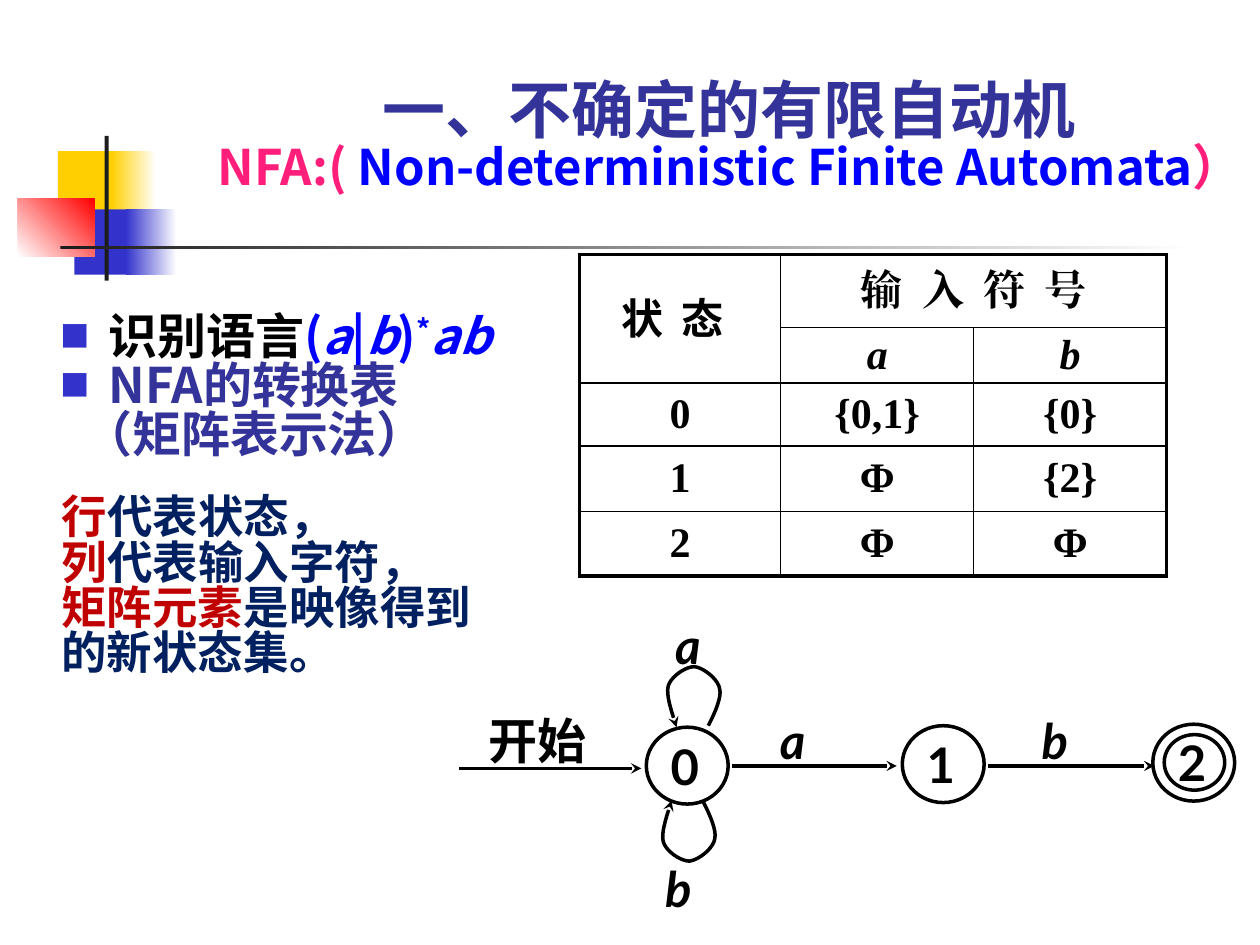
"""Build a slide on nondeterministic finite automata with a transition table and graph."""
import lxml.etree
import pptx
import pptx.dml.color
import pptx.enum.shapes
import pptx.enum.text
import pptx.oxml.ns
import pptx.util

Cm, Pt = pptx.util.Cm, pptx.util.Pt
RGBColor = pptx.dml.color.RGBColor
SHAPE = pptx.enum.shapes.MSO_SHAPE
ALIGN = pptx.enum.text.PP_ALIGN
ANCHOR = pptx.enum.text.MSO_ANCHOR
qn = pptx.oxml.ns.qn

BLACK = RGBColor(0x00, 0x00, 0x00)
WHITE = RGBColor(0xFF, 0xFF, 0xFF)
CHARCOAL = RGBColor(0x1C, 0x1C, 0x1C)
YELLOW = RGBColor(0xFF, 0xCF, 0x01)
BLUE = RGBColor(0x33, 0x33, 0xCC)
RED = RGBColor(0xFF, 0x00, 0x00)
INDIGO = RGBColor(0x33, 0x33, 0x99)
PINK = RGBColor(0xFF, 0x1F, 0x7A)
PURE_BLUE = RGBColor(0x00, 0x00, 0xFF)
DARK_RED = RGBColor(0xC0, 0x00, 0x00)
NAVY = RGBColor(0x00, 0x20, 0x60)

CJK_JP, CJK_SC = "Noto Sans CJK JP", "Noto Sans CJK SC"
LATO, TIMES = "Lato", "Times New Roman"
LINE_SPACING = 0.83
LOOP = [(0.42, -0.8), (0.47, -0.9), (0.7, -1.33), (0.65, -1.54), (0.62, -1.74),
        (0.32, -1.97), (0.14, -1.99), (-0.04, -1.99), (-0.34, -1.79), (-0.39, -1.59),
        (-0.44, -1.38), (-0.27, -0.95), (-0.22, -0.77)]


def add_run(paragraph, text, size, font, color=BLACK, italic=False, **attributes):
    """Append one bold run with its Latin and East Asian font."""
    run = paragraph.add_run()
    run.text = text
    run.font.size, run.font.bold, run.font.italic = Pt(size), True, italic
    run.font.color.rgb = color
    run.font.name = font
    properties = run._r.get_or_add_rPr()
    latin = properties.find(qn("a:latin"))
    east_asian = lxml.etree.Element(qn("a:ea"), typeface=font)
    latin.addnext(east_asian)
    for name, value in attributes.items():
        properties.set(name, value)


def set_frame(frame, margins=(0, 0, 0, 0), anchor=ANCHOR.TOP, wrap=True):
    """Set the margins, anchor and wrapping of a text frame."""
    frame.auto_size = pptx.enum.text.MSO_AUTO_SIZE.NONE
    frame.word_wrap = wrap
    frame.vertical_anchor = anchor
    (frame.margin_left, frame.margin_top,
     frame.margin_right, frame.margin_bottom) = map(Cm, margins)


def place(shape, box):
    """Move and size a shape."""
    shape.left, shape.top, shape.width, shape.height = map(Cm, box)


def next_paragraph(frame, index):
    """Return the paragraph for a line, set tight."""
    paragraph = frame.add_paragraph() if index else frame.paragraphs[0]
    paragraph.line_spacing = LINE_SPACING
    paragraph.space_before = Pt(0)
    return paragraph


def set_indent(paragraph, margin, indent, bullet=None):
    """Indent a paragraph and give it a square bullet or none."""
    properties = paragraph._p.get_or_add_pPr()
    properties.set("marL", str(Cm(margin)))
    properties.set("indent", str(Cm(indent)))
    if bullet is None:
        lxml.etree.SubElement(properties, qn("a:buNone"))
        return
    color = lxml.etree.SubElement(properties, qn("a:buClr"))
    lxml.etree.SubElement(color, qn("a:srgbClr"), val=str(BLUE))
    lxml.etree.SubElement(properties, qn("a:buSzPct"), val="60000")
    lxml.etree.SubElement(properties, qn("a:buFont"), typeface=CJK_JP)
    lxml.etree.SubElement(properties, qn("a:buChar"), char=bullet)


def add_block(slide, box, color, end_color=None, angle=0):
    """Add a decorative rectangle with a solid or gradient fill."""
    shape = slide.shapes.add_shape(SHAPE.RECTANGLE, *map(Cm, box))
    shape.shadow.inherit = False
    shape.line.fill.background()
    if end_color is None:
        shape.fill.solid()
        shape.fill.fore_color.rgb = color
        return
    shape.fill.gradient()
    shape.fill.gradient_angle = angle
    for stop, stop_color in zip(shape.fill.gradient_stops, (color, end_color)):
        stop.color.rgb = stop_color


def add_label(slide, box, text, size=28, italic=False, anchor=ANCHOR.TOP, wrap=True, **attributes):
    """Add a short black label."""
    frame = slide.shapes.add_textbox(*map(Cm, box)).text_frame
    set_frame(frame, (0.15, 0.08, 0.15, 0.08), anchor, wrap)
    add_run(frame.paragraphs[0], text, size, LATO, italic=italic, **attributes)


def set_outline(shape):
    """Give a shape the black line of the graph."""
    shape.line.color.rgb = BLACK
    shape.line.width = Pt(2)


def add_state(slide, box, text=""):
    """Add an unfilled state circle."""
    shape = slide.shapes.add_shape(SHAPE.OVAL, *map(Cm, box))
    shape.shadow.inherit = False
    shape.fill.background()
    set_outline(shape)
    if text:
        set_frame(shape.text_frame, (0, 0, 0.1, 0), ANCHOR.MIDDLE, False)
        paragraph = shape.text_frame.paragraphs[0]
        paragraph.alignment = ALIGN.CENTER
        add_run(paragraph, text, 28, LATO)


def add_arrowhead(shape):
    """Put a stealth arrowhead at the end of a line."""
    lxml.etree.SubElement(shape.line._get_or_add_ln(), qn("a:tailEnd"), type="stealth")


def add_arrow(slide, start, end, height):
    """Add a horizontal transition arrow."""
    connector = slide.shapes.add_connector(
        pptx.enum.shapes.MSO_CONNECTOR.STRAIGHT, Cm(start), Cm(height), Cm(end), Cm(height))
    set_outline(connector)
    add_arrowhead(connector)
    lxml.etree.SubElement(connector._element.spPr, qn("a:effectLst"))


def add_loop(slide, center_x, center_y, direction, steps=10):
    """Add a curved self-transition above (1) or below (-1) a state."""
    points = [LOOP[0]]
    for first in range(0, len(LOOP) - 1, 3):
        controls = LOOP[first:first + 4]
        for step in range(1, steps + 1):
            t = step / steps
            weights = ((1 - t) ** 3, 3 * t * (1 - t) ** 2, 3 * t * t * (1 - t), t ** 3)
            points.append([sum(w * point[axis] for w, point in zip(weights, controls))
                           for axis in (0, 1)])
    points = [(Cm(center_x + x), Cm(center_y + direction * y)) for x, y in points]
    builder = slide.shapes.build_freeform(*points[0])
    builder.add_line_segments(points[1:], close=False)
    shape = builder.convert_to_shape()
    shape.shadow.inherit = False
    shape.fill.background()
    set_outline(shape)
    add_arrowhead(shape)


def set_borders(cell, widths):
    """Draw the left, right, top and bottom borders of a cell."""
    properties = cell._tc.get_or_add_tcPr()
    for side, width in zip("LRTB", widths):
        line = lxml.etree.SubElement(properties, qn(f"a:ln{side}"), w=str(Pt(width)))
        fill = lxml.etree.SubElement(line, qn("a:solidFill"))
        lxml.etree.SubElement(fill, qn("a:srgbClr"), val=str(BLACK))


def add_transition_table(slide):
    """Add the state transition table."""
    rows = [("", "输 入 符 号", ""), ("", "a", "b"), ("0", "{0,1}", "{0}"),
            ("1", "Φ", "{2}"), ("2", "Φ", "Φ")]
    widths, heights = (4.06, 3.89, 3.89), (1.47, 1.12, 1.27, 1.32, 1.3)
    box = (11.68, 5.13, sum(widths), sum(heights))
    table = slide.shapes.add_table(len(rows), len(widths), *map(Cm, box)).table
    table.first_row = table.horz_banding = False
    for column, width in zip(table.columns, widths):
        column.width = Cm(width)
    for row, height in zip(table.rows, heights):
        row.height = Cm(height)
    table.cell(0, 0).merge(table.cell(1, 0))
    table.cell(0, 1).merge(table.cell(0, 2))
    for r, texts in enumerate(rows):
        for c, text in enumerate(texts):
            cell = table.cell(r, c)
            outer = (c == 0, c + cell.span_width == len(widths), r == 0,
                     r + cell.span_height == len(rows))
            set_borders(cell, [2.25 if edge else 1 for edge in outer])
            cell.fill.background()
            cell.vertical_anchor = ANCHOR.MIDDLE
            cell.margin_left = cell.margin_right = cell.margin_top = cell.margin_bottom = 0
            if text:
                paragraph = cell.text_frame.paragraphs[0]
                paragraph.alignment = ALIGN.CENTER
                spacing = {"spc": "250"} if r == 0 else {}
                add_run(paragraph, text, 24, TIMES, italic=r == 1, **spacing)


def fill_title(title):
    """Write the two title lines."""
    place(title, (3.73, 2.13, 21.95, 1.85))
    set_frame(title.text_frame, (0.25, 0.13, 0.25, 0.05), ANCHOR.BOTTOM)
    lines = [[("一、不确定的有限自动机", 36, CJK_JP, INDIGO)],
             [("NFA:( ", 28, CJK_SC, PINK),
              ("Non-deterministic Finite Automata", 28, CJK_SC, PURE_BLUE),
              ("）", 28, CJK_SC, PINK)]]
    for index, runs in enumerate(lines):
        paragraph = next_paragraph(title.text_frame, index)
        paragraph.alignment = ALIGN.CENTER
        for run in runs:
            add_run(paragraph, *run)


def fill_body(body):
    """Write the bulleted list."""
    place(body, (0.97, 7.62, 23.8, 1.7))
    set_frame(body.text_frame, (0.25, 0.13, 0.25, 0), ANCHOR.BOTTOM)
    language = next_paragraph(body.text_frame, 0)
    set_indent(language, 0.97, -0.97, "■")
    add_run(language, "识别语言", 28, CJK_JP)
    for text in ("(", "a", "|", "b", ")", "*", "ab"):
        raised = {"baseline": "30000"} if text == "*" else {}
        add_run(language, text, 28, CJK_JP, PURE_BLUE, text.isalpha(), **raised)
    for index, text, indent in ((1, "NFA的转换表", (0.97, -0.97, "■")),
                                (2, "（矩阵表示法）", (0.46, 0))):
        paragraph = next_paragraph(body.text_frame, index)
        set_indent(paragraph, *indent)
        add_run(paragraph, text, 28, CJK_JP, INDIGO)


def add_explanation(slide):
    """Explain the rows, columns and entries of the matrix."""
    frame = slide.shapes.add_textbox(*map(Cm, (0.99, 9.83, 8.84, 4.7))).text_frame
    set_frame(frame, (0.25, 0.2, 0.25, 0.13))
    lines = [("行", "代表状态，"), ("列", "代表输入字符，"), ("矩阵元素", "是映像得到的新状态集。")]
    for index, (term, meaning) in enumerate(lines):
        paragraph = next_paragraph(frame, index)
        add_run(paragraph, term, 26, CJK_JP, DARK_RED)
        add_run(paragraph, meaning, 26, CJK_JP, NAVY)


def add_graph(slide):
    """Draw the transition graph."""
    for box, text in (((13.03, 14.66, 1.65, 1.55), "0"), ((18.19, 14.63, 1.65, 1.55), "1"),
                      ((23.24, 14.6, 1.65, 1.55), ""), ((23.47, 14.81, 1.22, 1.12), "2")):
        add_state(slide, box, text)
    for arrow in ((9.25, 12.93, 15.49), (14.76, 18.08, 15.44), (19.91, 23.27, 15.44)):
        add_arrow(slide, *arrow)
    add_loop(slide, 13.86, 15.43, 1)
    add_loop(slide, 13.76, 15.37, -1)
    add_label(slide, (9.7, 14.25, 2.69, 1.45), "开始")
    for left, top, text in ((15.57, 14.25, "a"), (20.85, 14.25, "b"),
                            (13.46, 12.32, "a"), (13.26, 17.22, "b")):
        add_label(slide, (left, top, 1.35, 1.24), text, italic=True)


def main():
    """Build and save the presentation."""
    presentation = pptx.Presentation()
    presentation.slide_width, presentation.slide_height = Cm(25.4), Cm(19.05)
    slide = presentation.slides.add_slide(presentation.slide_layouts[1])
    for block in (((1.17, 3.05, 1.22, 1.32), YELLOW), ((2.24, 3.05, 0.91, 1.32), YELLOW, WHITE),
                  ((1.5, 4.22, 1.17, 1.32), BLUE), ((2.54, 4.22, 1.02, 1.32), BLUE, WHITE),
                  ((0.36, 4.01, 1.55, 1.17), WHITE, RED, 45),
                  ((2.11, 2.74, 0.08, 2.92), CHARCOAL),
                  ((1.22, 4.95, 22.86, 0.08), CHARCOAL, WHITE)):
        add_block(slide, *block)
    fill_title(slide.shapes.title)
    fill_body(slide.placeholders[1])
    add_transition_table(slide)
    add_label(slide, (12.37, 5.56, 3.18, 1.7), "状 态", 24, anchor=ANCHOR.MIDDLE, wrap=False, spc="250")
    add_explanation(slide)
    add_graph(slide)
    presentation.save("out.pptx")


if __name__ == "__main__":
    main()
